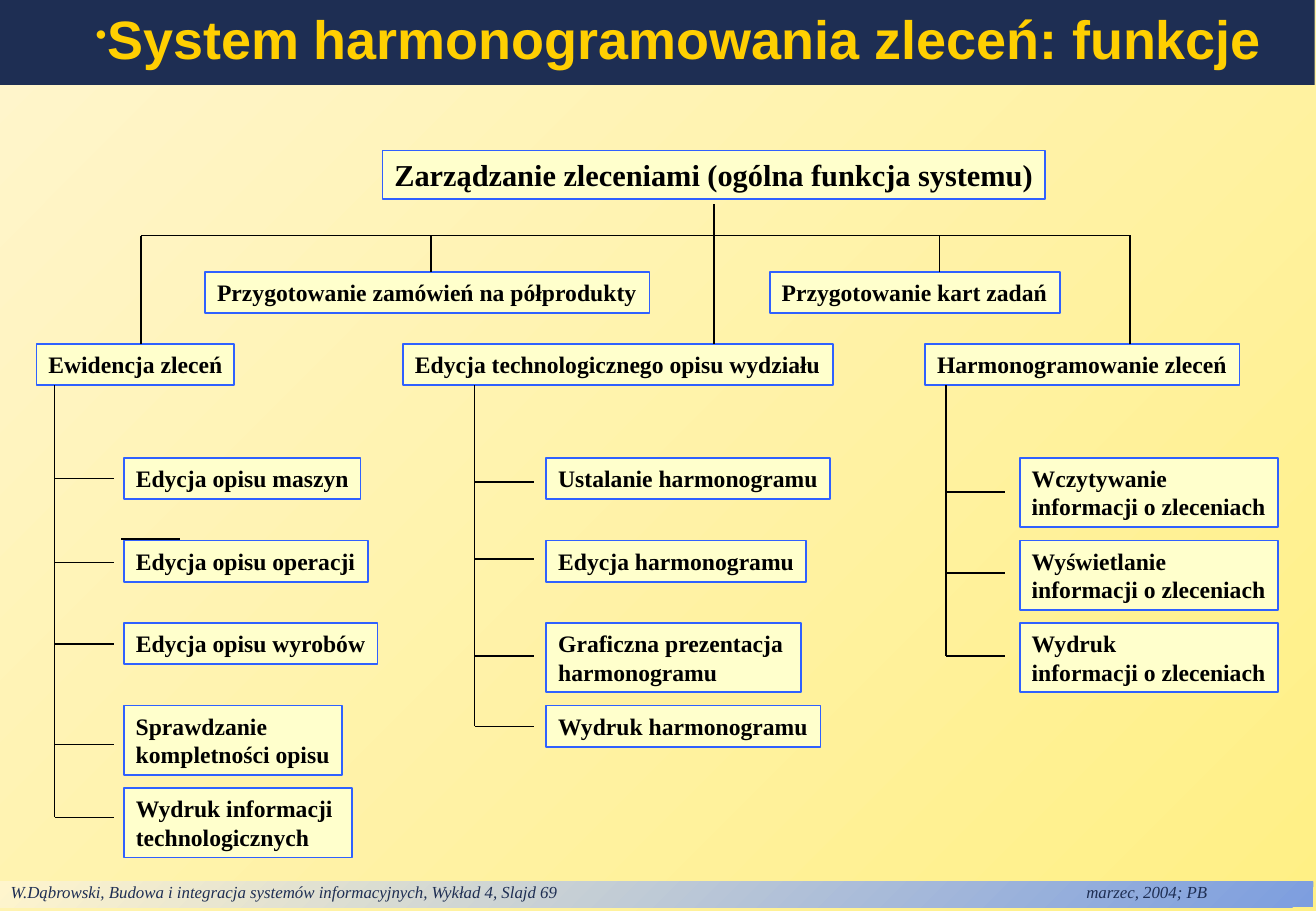
from lxml import etree
from pptx import Presentation
from pptx.dml.color import RGBColor
from pptx.enum.shapes import MSO_CONNECTOR, MSO_SHAPE
from pptx.enum.text import MSO_ANCHOR, PP_ALIGN
from pptx.oxml.ns import qn
from pptx.util import Inches, Pt

RECTANGLE = MSO_SHAPE.RECTANGLE
STRAIGHT = MSO_CONNECTOR.STRAIGHT
LEFT = PP_ALIGN.LEFT
TOP, MIDDLE = MSO_ANCHOR.TOP, MSO_ANCHOR.MIDDLE

NAVY = RGBColor(0x1E, 0x2E, 0x53)
GOLD = RGBColor(0xFF, 0xCF, 0x01)
CREAM = RGBColor(0xFF, 0xFF, 0xCC)
BLUE = RGBColor(0x2F, 0x61, 0xFF)
BLACK = RGBColor(0, 0, 0)
YELLOW = RGBColor(0xFF, 0xF0, 0x85)
PALE = RGBColor(0xFF, 0xF5, 0xCD)
SKY = RGBColor(0x7D, 0x9E, 0xDF)
SERIF, SANS = "Times New Roman", "Arial"

TITLE = "System harmonogramowania zleceń: funkcje"
FOOTER = ("W.Dąbrowski, Budowa i integracja systemów informacyjnych, "
          "Wykład 4, Slajd 69\tmarzec, 2004; PB")
ROOT = "Zarządzanie zleceniami (ogólna funkcja systemu)"

# text, left, width, x of the line from above
SIDE_FUNCTIONS = [
    ("Przygotowanie kart zadań", 6.34, 2.39, 7.74),
    ("Przygotowanie zamówień na półprodukty", 1.69, 3.66, 3.55),
]
# heading, left, width, x of the line from above, trunk x, item left,
# items as (text, width, branch y)
MAIN_FUNCTIONS = [
    ("Ewidencja zleceń", 0.3, 1.63, 1.16, 0.45, 1.02, [
        ("Edycja opisu maszyn", 1.95, 3.94),
        ("Edycja opisu operacji", 2.01, 4.63),
        ("Edycja opisu wyrobów", 2.09, 5.3),
        ("Sprawdzanie\nkompletności opisu", 1.8, 6.13),
        ("Wydruk informacji\ntechnologicznych", 1.88, 6.73),
    ]),
    ("Edycja technologicznego opisu wydziału", 3.32, 3.54, 5.88, 3.91, 4.5, [
        ("Ustalanie harmonogramu", 2.34, 3.97),
        ("Edycja harmonogramu", 2.14, 4.6),
        ("Graficzna prezentacja\nharmonogramu", 2.1, 5.4),
        ("Wydruk harmonogramu", 2.26, 5.98),
    ]),
    ("Harmonogramowanie zleceń", 7.62, 2.59, 9.31, 7.79, 8.4, [
        ("Wczytywanie\ninformacji o zleceniach", 2.13, 4.05),
        ("Wyświetlanie\ninformacji o zleceniach", 2.13, 4.72),
        ("Wydruk\ninformacji o zleceniach", 2.13, 5.4),
    ]),
]

BAR_TOP, SIDE_TOP, MAIN_TOP = 1.94, 2.24, 2.83
ITEM_TOP, ITEM_STEP = 3.77, 0.68
LINE_HEIGHT, BOX_HEIGHT = 0.23, 0.34
BRANCH_LENGTH = 0.49

deck = Presentation()
deck.slide_width, deck.slide_height = Inches(10.84), Inches(7.5)
page = deck.slides.add_slide(deck.slide_layouts[6])


def set_gradient(fill, start, end):
    """Fill from start at the bottom right to end at the top left."""
    fill.gradient()
    fill.gradient_angle = 135
    for stop, color in zip(fill.gradient_stops, (start, end)):
        stop.color.rgb = color


def add_panel(left, top, width, height, text, anchor=TOP):
    panel = page.shapes.add_shape(
        RECTANGLE, Inches(left), Inches(top), Inches(width), Inches(height))
    panel.shadow.inherit = False
    panel.line.fill.background()
    frame = panel.text_frame
    frame.text = text
    frame.word_wrap = True
    frame.vertical_anchor = anchor
    for para in frame.paragraphs:
        para.alignment = LEFT
    return panel


def style_text(panel, name, size, color, bold=False, italic=False):
    for para in panel.text_frame.paragraphs:
        for span in para.runs:
            font = span.font
            font.name, font.size = name, Pt(size)
            font.bold, font.italic = bold, italic
            font.color.rgb = color


def add_box(text, left, top, width, size=14, height=BOX_HEIGHT):
    height += LINE_HEIGHT * text.count("\n")
    box = add_panel(left, top, width, height, text)
    box.fill.solid()
    box.fill.fore_color.rgb = CREAM
    box.line.color.rgb = BLUE
    box.line.width = Pt(1)
    box.text_frame.word_wrap = False
    style_text(box, SERIF, size, BLACK, bold=True)


def add_line(x1, y1, x2, y2):
    line = page.shapes.add_connector(
        STRAIGHT, Inches(x1), Inches(y1), Inches(x2), Inches(y2))
    line.line.color.rgb = BLACK
    line.line.width = Pt(1)
    etree.SubElement(line._element.spPr, qn("a:effectLst"))


def add_footer():
    footer = add_panel(-0.01, 7.26, 10.83, 0.21, FOOTER)
    set_gradient(footer.fill, SKY, PALE)
    footer.text_frame.margin_top = 0
    footer.text_frame.margin_bottom = Inches(0.04)
    properties = footer.text_frame.paragraphs[0]._p.get_or_add_pPr()
    tabs = etree.SubElement(properties, qn("a:tabLst"))
    etree.SubElement(tabs, qn("a:tab"), pos=str(Inches(8.86)), algn="l")
    style_text(footer, SERIF, 10, NAVY, italic=True)


def add_title():
    title = add_panel(0, 0, 10.83, 0.7, TITLE, MIDDLE)
    title.fill.solid()
    title.fill.fore_color.rgb = NAVY
    para = title.text_frame.paragraphs[0]
    properties = para._p.get_or_add_pPr()
    properties.set("marL", str(Inches(0.29)))
    properties.set("indent", str(Inches(0.4)))
    bullet_color = etree.SubElement(properties, qn("a:buClr"))
    etree.SubElement(bullet_color, qn("a:srgbClr"), val=str(GOLD))
    etree.SubElement(properties, qn("a:buSzPct"), val="60000")
    etree.SubElement(properties, qn("a:buChar"), char="•")
    para.line_spacing = 0.9
    style_text(title, SANS, 32, GOLD, bold=True)


set_gradient(page.background.fill, YELLOW, PALE)
add_footer()
add_title()

add_box(ROOT, 3.15, 1.24, 5.46, size=18, height=0.4)
add_line(5.88, 1.68, 5.88, BAR_TOP)
add_line(1.16, BAR_TOP, 9.32, BAR_TOP)

for text, left, width, drop_x in SIDE_FUNCTIONS:
    add_box(text, left, SIDE_TOP, width)
    add_line(drop_x, BAR_TOP, drop_x, SIDE_TOP)

for heading, left, width, drop_x, trunk_x, item_left, items in MAIN_FUNCTIONS:
    add_box(heading, left, MAIN_TOP, width)
    add_line(drop_x, BAR_TOP, drop_x, MAIN_TOP)
    add_line(trunk_x, MAIN_TOP + BOX_HEIGHT, trunk_x, items[-1][2])
    for row, (text, item_width, branch_y) in enumerate(items):
        add_box(text, item_left, ITEM_TOP + row * ITEM_STEP, item_width)
        add_line(trunk_x, branch_y, trunk_x + BRANCH_LENGTH, branch_y)

add_line(1, 4.44, 1.48, 4.44)

deck.save("out.pptx")
